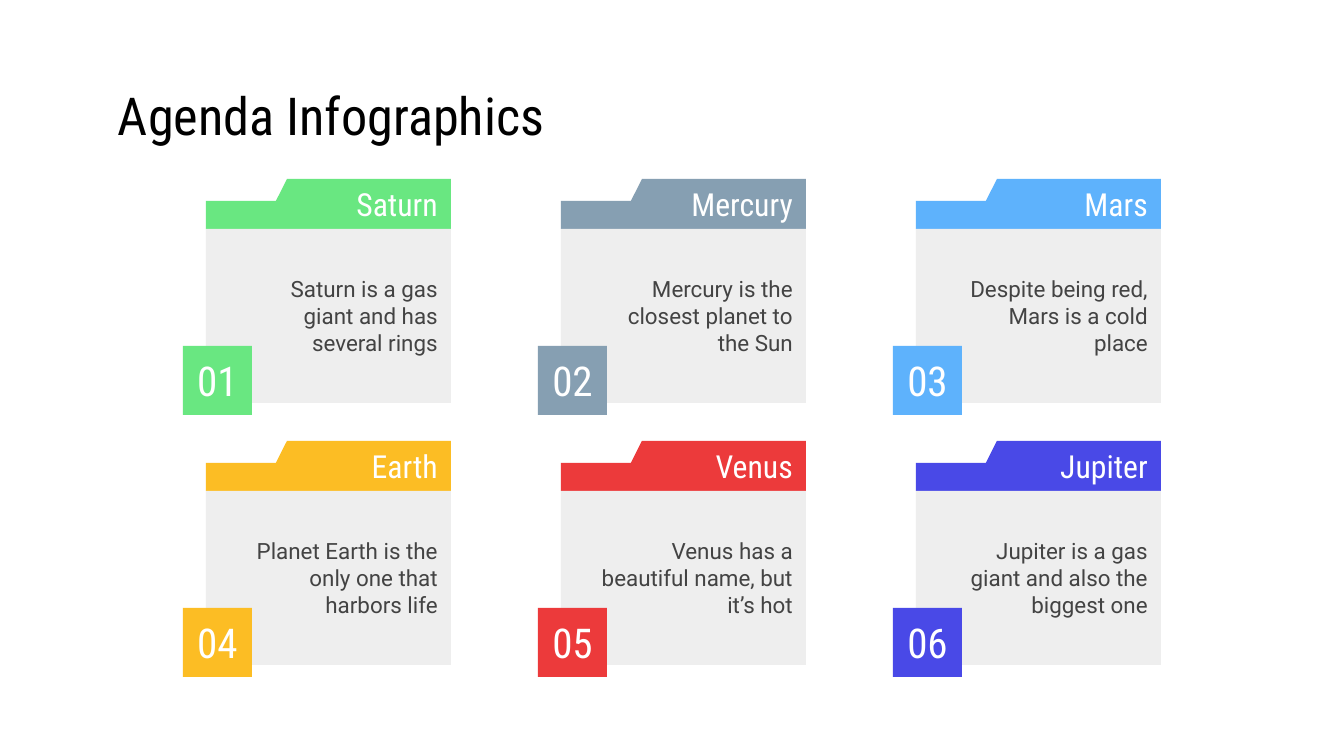
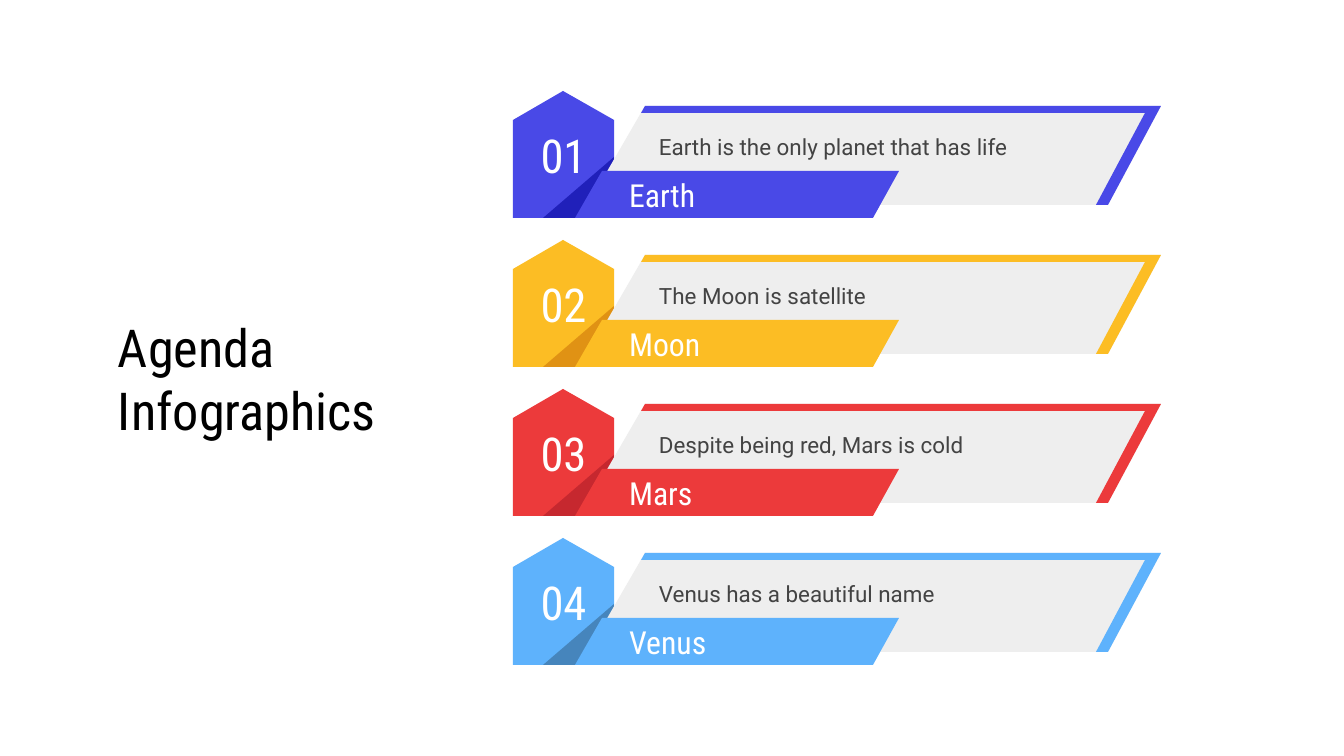
from collections import namedtuple
from dataclasses import dataclass

from pptx import Presentation
from pptx.dml.color import RGBColor
from pptx.enum.shapes import MSO_SHAPE as Preset
from pptx.enum.text import MSO_ANCHOR as Anchor, MSO_AUTO_SIZE as AutoSize, PP_ALIGN as Align
from pptx.util import Pt

EMU_PER_PX = 914400 / 134.4
TITLE_ONLY = 5
Box = namedtuple("Box", "left top width height")


@dataclass(frozen=True)
class Theme:
    heading_font: str = "Roboto Condensed"
    body_font: str = "Roboto"
    title_size: int = 28
    badge_size: int = 25
    number_size: int = 22
    name_size: int = 17
    body_size: int = 12
    black: str = "000000"
    white: str = "FFFFFF"
    ink: str = "434343"
    panel: str = "EEEEEE"
    green: str = "69E781"
    slate: str = "869FB2"
    sky: str = "5EB2FC"
    sky_dark: str = "4685BC"
    amber: str = "FCBD24"
    amber_dark: str = "E09214"
    red: str = "EC3A3B"
    red_dark: str = "C6282F"
    indigo: str = "4949E7"
    indigo_dark: str = "2020BA"


THEME = Theme()
TITLE = dict(name=THEME.heading_font, size=THEME.title_size, color=THEME.black)
BADGE = dict(name=THEME.heading_font, size=THEME.badge_size, color=THEME.white)
NUMBER = dict(name=THEME.heading_font, size=THEME.number_size, color=THEME.white)
NAME = dict(name=THEME.heading_font, size=THEME.name_size, color=THEME.white)
BODY = dict(name=THEME.body_font, size=THEME.body_size, color=THEME.ink)

FOLDERS = [
    ("Saturn", "Saturn is a gas giant and has several rings", THEME.green),
    ("Mercury", "Mercury is the closest planet to the Sun", THEME.slate),
    ("Mars", "Despite being red, Mars is a cold place", THEME.sky),
    ("Earth", "Planet Earth is the only one that harbors life", THEME.amber),
    ("Venus", "Venus has a beautiful name, but it’s hot", THEME.red),
    ("Jupiter", "Jupiter is a gas giant and also the biggest one", THEME.indigo),
]
RIBBONS = [
    ("Earth", "Earth is the only planet that has life", THEME.indigo, THEME.indigo_dark),
    ("Moon", "The Moon is satellite", THEME.amber, THEME.amber_dark),
    ("Mars", "Despite being red, Mars is cold", THEME.red, THEME.red_dark),
    ("Venus", "Venus has a beautiful name", THEME.sky, THEME.sky_dark),
]


def px(length):
    return round(length * EMU_PER_PX)


def write(shape, text, style, align=Align.LEFT, anchor=Anchor.MIDDLE, left=13, top=13):
    frame = shape.text_frame
    settings = dict(word_wrap=True, auto_size=AutoSize.NONE, vertical_anchor=anchor,
                    margin_left=px(left), margin_top=px(top),
                    margin_right=px(13), margin_bottom=px(13))
    for attribute, value in settings.items():
        setattr(frame, attribute, value)
    para = frame.paragraphs[0]
    para.alignment = align
    span = para.add_run()
    span.text = text
    span.font.name = style["name"]
    span.font.size = Pt(style["size"])
    span.font.color.rgb = RGBColor.from_string(style["color"])


def paint(shape, color):
    shape.fill.solid()
    shape.fill.fore_color.rgb = RGBColor.from_string(color)
    shape.line.fill.background()
    shape.shadow.inherit = False
    return shape


def add_rectangle(page, box, color):
    return paint(page.shapes.add_shape(Preset.RECTANGLE, *map(px, box)), color)


def add_outline(page, box, points, color):
    """Draw a closed outline whose points are measured from the box corner."""
    builder = page.shapes.build_freeform(*points[0], scale=EMU_PER_PX)
    builder.add_line_segments(points[1:], close=True)
    return paint(builder.convert_to_shape(px(box.left), px(box.top)), color)


def add_titled_page(deck, box):
    page = deck.slides.add_slide(deck.slide_layouts[TITLE_ONLY])
    title = page.shapes.title
    for attribute, value in box._asdict().items():
        setattr(title, attribute, px(value))
    write(title, "Agenda Infographics", TITLE)
    return page


def add_folder(page, box, number, name, text, color):
    left, top, width, height = box
    tab_height, badge = 50, 69
    tab = add_outline(page, box, [(81, 0), (70, 22), (0, 22), (0, tab_height),
                                  (width, tab_height), (width, 0)], color)
    write(tab, name, NAME, Align.RIGHT)
    panel = add_rectangle(
        page, Box(left, top + tab_height, width, height - tab_height), THEME.panel)
    write(panel, text, BODY, Align.RIGHT, left=40)
    square = add_rectangle(
        page, Box(left - 23, top + height + 12 - badge, badge, badge), color)
    write(square, f"{number:02}", NUMBER, Align.CENTER)
    page.shapes.add_group_shape([tab, panel, square])


def add_ribbon(page, box, number, name, text, color, dark):
    right, bottom = box.width, box.height
    edge, top, base = 101, 15, bottom - 13
    hexagon = add_outline(page, box, [(50, 0), (0, 29), (0, bottom),
                                      (edge, bottom), (edge, 29)], color)
    write(hexagon, f"{number:02}", BADGE, Align.CENTER)
    fold = add_outline(page, box, [(edge, 66), (30, bottom), (edge, bottom)], dark)
    panel = add_outline(page, box, [(132, top), (92, 84), (edge, base),
                                    (right - 53, base), (right, top)], THEME.panel)
    write(panel, text, BODY, anchor=Anchor.TOP, left=54, top=27)
    rim = add_outline(page, box, [(132, top), (128, top + 7), (right - 16, top + 7),
                                  (right - 65, base), (right - 53, base), (right, top)], color)
    label = add_outline(page, box, [(89, 80), (62, bottom), (360, bottom), (386, 80)], color)
    write(label, name, NAME, left=54)
    page.shapes.add_group_shape([hexagon, fold, panel, rim, label])


def add_folder_page(deck):
    page = add_titled_page(deck, Box(105, 79, 1136, 71))
    for index, folder in enumerate(FOLDERS):
        row, column = divmod(index, 3)
        box = Box(206 + 355 * column, 179 + 262 * row, 245, 224)
        add_folder(page, box, index + 1, *folder)


def add_ribbon_page(deck):
    page = add_titled_page(deck, Box(105, 316, 292, 124))
    for index, ribbon in enumerate(RIBBONS):
        add_ribbon(page, Box(513, 91 + 149 * index, 648, 127), index + 1, *ribbon)


def main():
    deck = Presentation()
    deck.slide_width, deck.slide_height = px(1344), px(756)
    add_folder_page(deck)
    add_ribbon_page(deck)
    deck.save("out.pptx")


if __name__ == "__main__":
    main()
